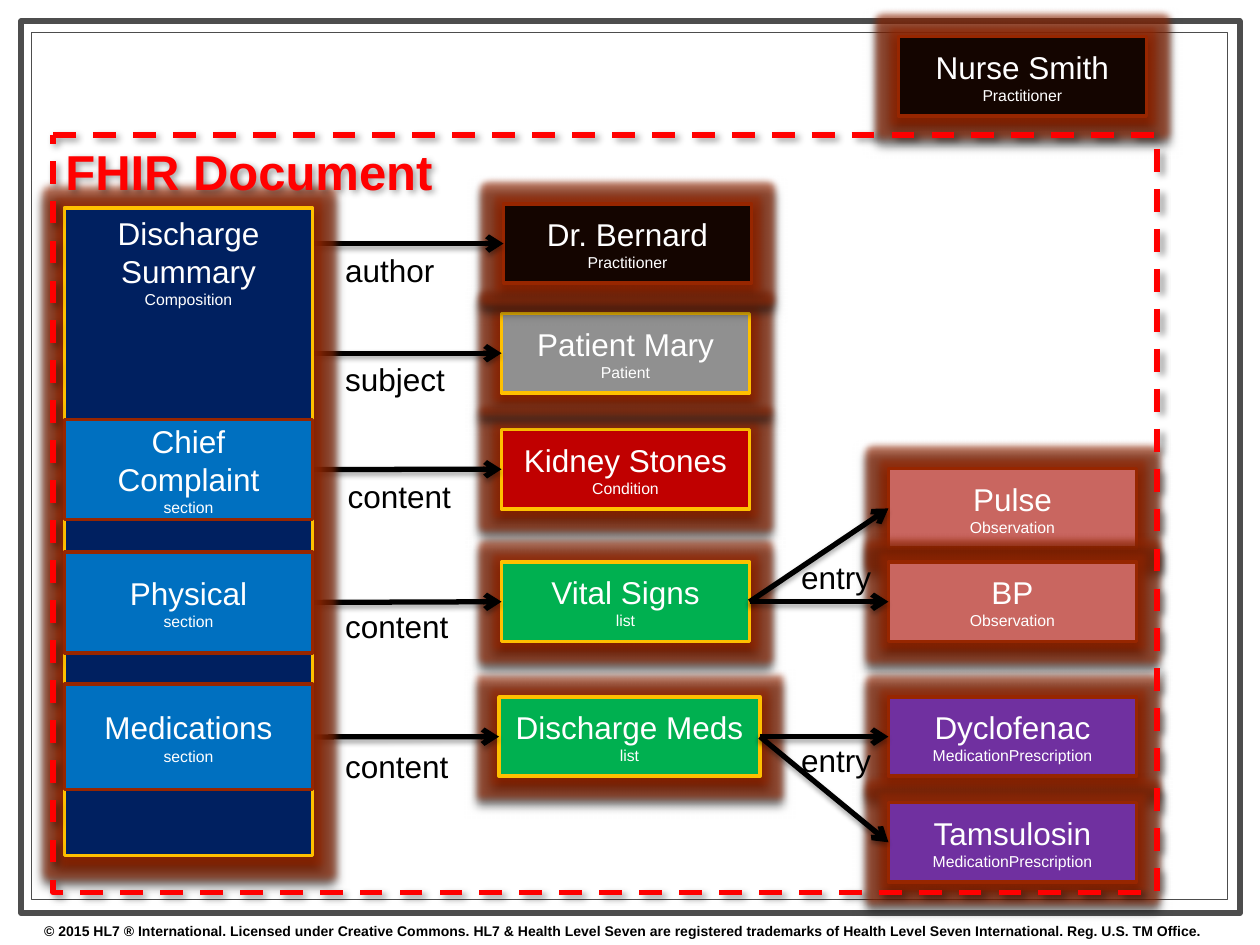
from lxml import etree
from pptx import Presentation, util as u
from pptx.dml.color import RGBColor
from pptx.enum import dml, shapes, text
from pptx.oxml import ns

BLACK, WHITE = RGBColor(0, 0, 0), RGBColor(255, 255, 255)
GRAY, MID_GRAY = RGBColor(0x4D, 0x4D, 0x4D), RGBColor(0x90, 0x90, 0x90)
RUST, GOLD = RGBColor(0x97, 0x26, 0x00), RGBColor(0xFF, 0xC0, 0x00)
DARK, SHADE = RGBColor(0x14, 0x05, 0x00), RGBColor(0x0D, 0x0D, 0x0D)
GREEN, CRIMSON = RGBColor(0x00, 0xB0, 0x50), RGBColor(0xC0, 0, 0)
PURPLE, SALMON = RGBColor(0x70, 0x30, 0xA0), RGBColor(0xC9, 0x66, 0x60)
NAVY, BLUE = RGBColor(0x00, 0x20, 0x60), RGBColor(0x00, 0x70, 0xC0)
RED = RGBColor(0xFF, 0, 0)

# Content: all lengths in centimetres
BOX_WIDTH, BOX_HEIGHT = 5, 1.6
LEFT, MIDDLE, RIGHT = 1.3, 10.11, 17.91
COPYRIGHT = ("© 2015 HL7 ® International. Licensed under Creative Commons. "
             "HL7 & Health Level Seven are registered trademarks of Health Level "
             "Seven International. Reg. U.S. TM Office.")
FRAMES = [  # left, top, width, height, line width
    (0.43, 0.43, 24.56, 17.98, 3.5),
    (0.64, 0.66, 24.1, 17.48, 0.75),
    (0.89, 0.71, 23.8, 17.4, None),
]
RESOURCES = [  # name, type, left, top, width, fill, line
    ("Discharge Meds", "list", 10.06, 14.05, 5.26, GREEN, GOLD),
    ("Vital Signs", "list", MIDDLE, 11.33, BOX_WIDTH, GREEN, GOLD),
    ("Kidney Stones", "Condition", MIDDLE, 8.66, BOX_WIDTH, CRIMSON, GOLD),
    ("Patient Mary", "Patient", MIDDLE, 6.32, BOX_WIDTH, MID_GRAY, GOLD),
    ("Dr. Bernard", "Practitioner", 10.15, 4.11, BOX_WIDTH, DARK, RUST),
    ("Dyclofenac", "MedicationPrescription", RIGHT, 14.05, BOX_WIDTH, PURPLE, RUST),
    ("Tamsulosin", "MedicationPrescription", RIGHT, 16.18, BOX_WIDTH, PURPLE, RUST),
    ("Pulse", "Observation", RIGHT, 9.45, BOX_WIDTH, SALMON, RUST),
    ("BP", "Observation", RIGHT, 11.33, BOX_WIDTH, SALMON, RUST),
    ("Nurse Smith", "Practitioner", 18.11, 0.74, BOX_WIDTH, DARK, RUST),
]
SECTIONS = [  # name, top, height
    ("Chief Complaint", 8.46, 2.01),
    ("Physical", 11.13, 2.03),
    ("Medications", 13.79, 2.13),
]
LINKS = [  # from, to; the summary itself is left at the height of its target
    ("Medications", "Discharge Meds"),
    ("Physical", "Vital Signs"),
    ("Chief Complaint", "Kidney Stones"),
    ("Summary", "Patient Mary"),
    ("Summary", "Dr. Bernard"),
    ("Discharge Meds", "Dyclofenac"),
    ("Discharge Meds", "Tamsulosin"),
    ("Vital Signs", "Pulse"),
    ("Vital Signs", "BP"),
]
LABELS = [  # text, left, top
    ("content", 6.71, 14.94), ("content", 6.71, 12.12), ("content", 6.76, 9.5),
    ("subject", 6.71, 7.14), ("author", 6.71, 4.93),
    ("entry", 15.9, 14.81), ("entry", 15.9, 11.13),
]
BOX_SHADOW = (SHADE, 100, 4, 4, 90)  # colour, opacity, blur, distance, angle
ARROW_SHADOW = (BLACK, 35, 3.1, 1.8, 90)
DOCUMENT_SHADOW = (BLACK, 40, 4, 3, 45)
GLOW = (RUST, 60, 8)  # colour, opacity, radius

presentation = Presentation()
presentation.slide_width, presentation.slide_height = u.Cm(25.4), u.Cm(19.05)
slide = presentation.slides.add_slide(presentation.slide_layouts[6])


def add_effects(shape, shadow, glow=None):
    properties = shape._element.spPr
    for old in properties.findall(ns.qn("a:effectLst")):
        properties.remove(old)
    effects = etree.SubElement(properties, ns.qn("a:effectLst"))

    def add(tag, color, opacity, **attributes):
        effect = etree.SubElement(effects, ns.qn(tag))
        for name, value in attributes.items():
            effect.set(name, str(int(value)))
        fill = etree.SubElement(effect, ns.qn("a:srgbClr"), val=str(color))
        etree.SubElement(fill, ns.qn("a:alpha"), val=str(opacity * 1000))

    if glow:
        add("a:glow", glow[0], glow[1], rad=u.Pt(glow[2]))
    color, opacity, blur, distance, angle = shadow
    add("a:outerShdw", color, opacity, blurRad=u.Pt(blur), dist=u.Pt(distance),
        dir=angle * 60000, rotWithShape=0)


def add_block(kind, place, fill, line, width):
    shape = slide.shapes.add_shape(kind, *(u.Cm(value) for value in place))
    shape.shadow.inherit = False
    if fill is None:
        shape.fill.background()
    else:
        shape.fill.solid()
        shape.fill.fore_color.rgb = fill
    if width is None:
        shape.line.fill.background()
    else:
        shape.line.color.rgb = line
        shape.line.width = u.Pt(width)
    return shape


def write(shape, paragraphs, color, align, anchor, bold=False):
    """Each paragraph is a list of (text, size) lines."""
    frame = shape.text_frame
    frame.word_wrap, frame.vertical_anchor = True, anchor
    for index, lines in enumerate(paragraphs):
        paragraph = frame.add_paragraph() if index else frame.paragraphs[0]
        paragraph.alignment = align
        for number, (words, size) in enumerate(lines):
            if number:
                paragraph.add_line_break()
            run = paragraph.add_run()
            run.text = words
            run.font.color.rgb = color
            for name, value in dict(name="Arial", size=u.Pt(size), bold=bold).items():
                setattr(run.font, name, value)


def add_label(words, place, size, bold=False):
    label = slide.shapes.add_textbox(*(u.Cm(value) for value in place))
    write(label, [[(words, size)]], BLACK, text.PP_ALIGN.LEFT, text.MSO_ANCHOR.TOP, bold)


RECTANGLE = shapes.MSO_SHAPE.RECTANGLE
PROCESS = shapes.MSO_SHAPE.FLOWCHART_PROCESS
CENTER, CENTERED = text.PP_ALIGN.CENTER, text.MSO_ANCHOR.MIDDLE
TOP = text.MSO_ANCHOR.TOP

# Frame and copyright line
for *place, width in FRAMES:
    add_block(RECTANGLE, place, WHITE, GRAY, width)
add_label(COPYRIGHT, (0.64, 18.47, 24.7, 0.58), 8, True)

# Resource boxes
blocks = {}
for name, kind, left, top, width, fill, line in RESOURCES:
    box = add_block(RECTANGLE, (left, top, width, BOX_HEIGHT), fill, line, 2)
    add_effects(box, BOX_SHADOW, GLOW)
    write(box, [[(name, 18), (kind, 9)]], WHITE, CENTER, CENTERED)
    blocks[name] = box

# Arrows lie below the summary; they are joined once every block exists
arrows = []
for source, target in LINKS:
    middle = blocks[target].top + blocks[target].height // 2
    arrow = slide.shapes.add_connector(
        shapes.MSO_CONNECTOR.STRAIGHT, u.Cm(LEFT + BOX_WIDTH), middle,
        blocks[target].left, middle)
    arrow.line.color.rgb, arrow.line.width = BLACK, u.Pt(3)
    etree.SubElement(arrow.line._get_or_add_ln(), ns.qn("a:tailEnd"), type="arrow")
    add_effects(arrow, ARROW_SHADOW)
    arrows.append((arrow, source, target))
for words, left, top in LABELS:
    add_label(words, (left, top, 3.73, 1.02), 18)

# Summary with its sections
summary = add_block(RECTANGLE, (LEFT, 4.19, BOX_WIDTH, 13.06), NAVY, GOLD, 2)
add_effects(summary, BOX_SHADOW, GLOW)
write(summary, [[("Discharge", 18)], [("Summary", 18), ("Composition", 9)]],
      WHITE, CENTER, TOP)
for name, top, height in SECTIONS:
    section = add_block(PROCESS, (LEFT, top, BOX_WIDTH, height), BLUE, RUST, 2)
    write(section, [[(name, 18), ("section", 9)]], WHITE, CENTER, CENTERED)
    blocks[name] = section

for arrow, source, target in arrows:
    if source in blocks:
        arrow.begin_connect(blocks[source], 3)
    arrow.end_connect(blocks[target], 1)

# Document outline
document = add_block(PROCESS, (1.07, 2.72, 22.25, 15.27), None, RED, 3.25)
document.line.dash_style = dml.MSO_LINE.DASH
add_effects(document, DOCUMENT_SHADOW)
write(document, [[("FHIR Document", 28)]], RED, text.PP_ALIGN.LEFT, TOP, True)

presentation.save("out.pptx")
